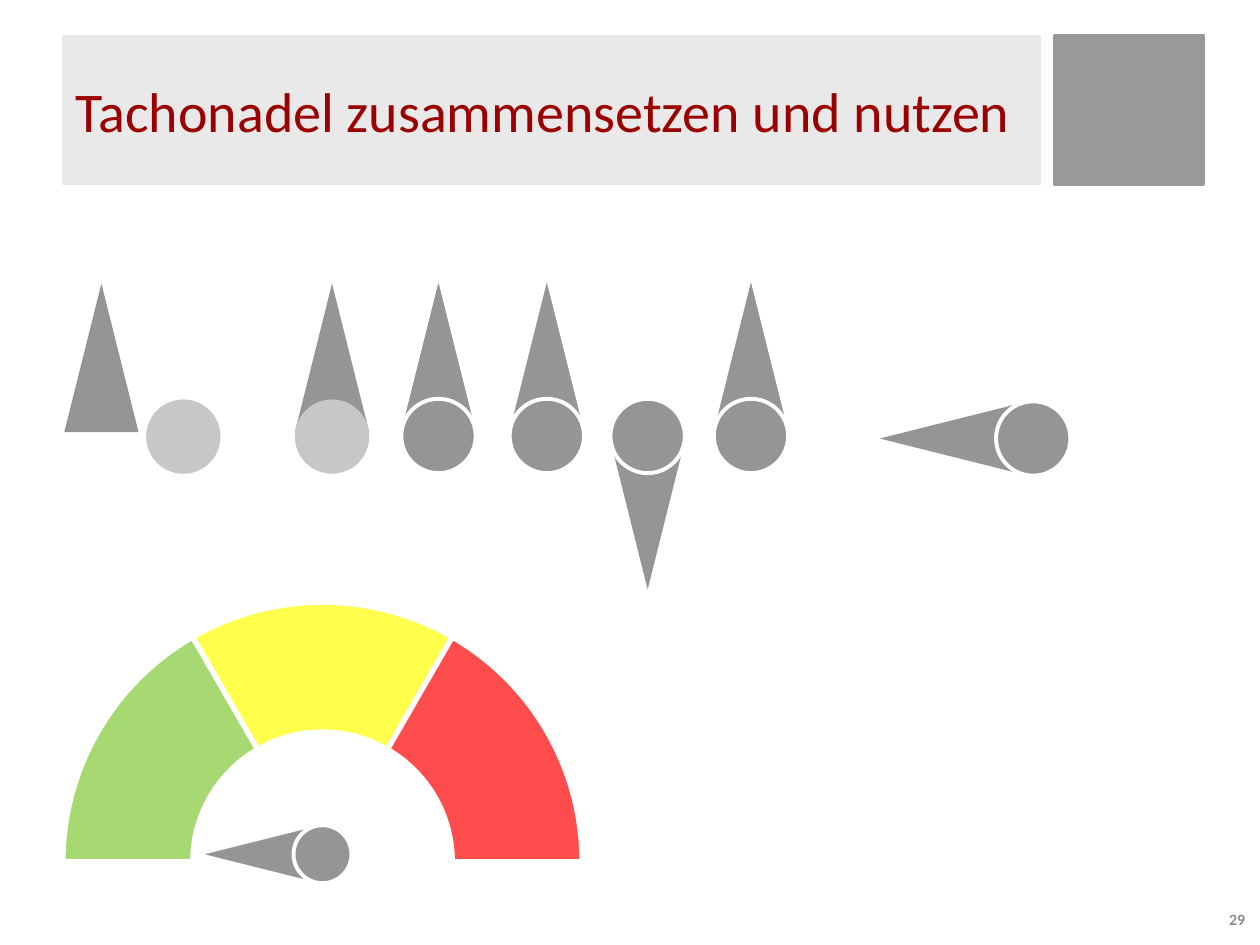
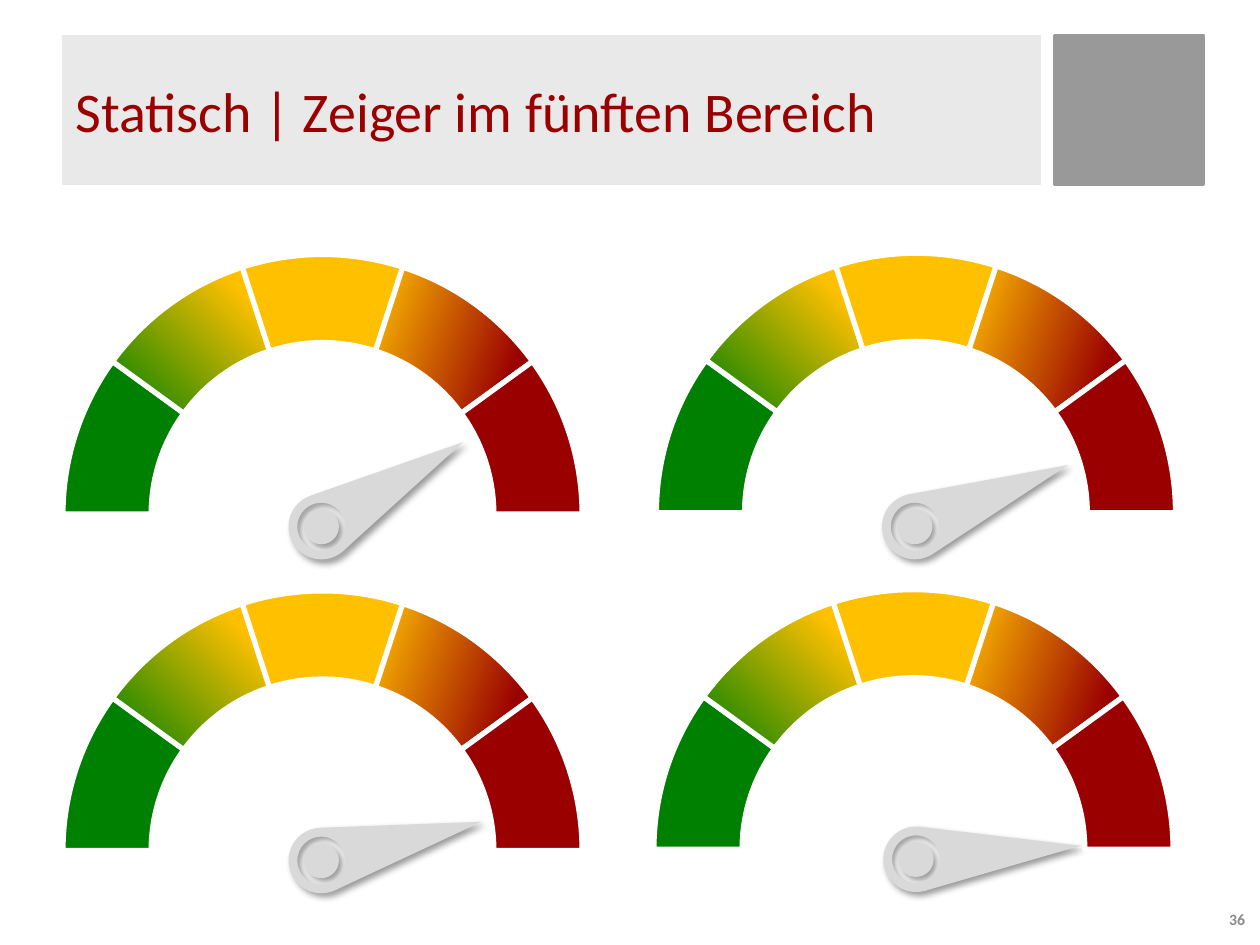
"""Build two slides about speedometer gauges and their needles."""
from itertools import chain
from math import acos, atan, ceil, cos, degrees, hypot, radians, sin, tan

from lxml.etree import SubElement
from pptx import Presentation
from pptx.dml.color import RGBColor
from pptx.enum.shapes import MSO_SHAPE as Shape
from pptx.enum.text import MSO_ANCHOR as Anchor, PP_ALIGN as Align
from pptx.oxml.ns import qn
from pptx.util import Inches, Pt

FONT = "Calibri"
COLORS = {
    "title": "9A0000", "band": "E9E9E9", "corner": "999999", "number": "8C8C8C",
    "white": "FFFFFF", "needle": "959595", "loose hub": "C7C7C7", "pointer": "D9D9D9",
    "light green": "92D050", "yellow": "FFFF00", "red": "FF0000",
    "green": "008000", "amber": "FFC000", "dark red": "9A0000", "shadow": "000000",
}

ASSEMBLY = {"title": "Tachonadel zusammensetzen und nutzen", "number": "29"}
POINTING = {"title": "Statisch | Zeiger im fünften Bereich", "number": "36"}

HUB_SIZE = 0.59
LOOSE_PARTS = [
    (Shape.ISOSCELES_TRIANGLE, 0.51, 2.25, 2, "needle"),
    (Shape.OVAL, 1.16, 3.17, 1, "loose hub"),
    (Shape.ISOSCELES_TRIANGLE, 2.34, 2.25, 2, "needle"),
    (Shape.OVAL, 2.34, 3.17, 1, "loose hub"),
]
SINGLE_NEEDLE = (3.48, 3.46, HUB_SIZE, 0)
GROUPED_NEEDLES = [
    (4.34, 3.46, HUB_SIZE, 0),
    (5.14, 3.46, HUB_SIZE, 180),
    (5.96, 3.46, HUB_SIZE, 0),
    (8.2, 3.48, HUB_SIZE, 270),
]
GAUGE_NEEDLE = (2.56, 6.78, 0.46, 270)

TRAFFIC_GAUGE = {"center": (2.56, 6.84), "outer": 2.06, "inner": 1.03}
TRAFFIC_SECTORS = [("light green", 80), ("yellow", 70), ("red", 70)]

FIVE_PART_RADII = {"outer": 2.06, "inner": 1.36}
FIVE_SECTORS = [
    ("green", 100),
    ("green", "amber", 0.83, 45),
    ("amber", 100),
    ("amber", "dark red", 0.84, 340),
    ("dark red", 100),
]
FIVE_PART_GAUGES = [
    {"center": (2.56, 4.08), "hub": (2.55, 4.18), "angle": 30.8},
    {"center": (7.27, 4.07), "hub": (7.26, 4.18), "angle": 21.9},
    {"center": (2.56, 6.75), "hub": (2.55, 6.83), "angle": 13.6},
    {"center": (7.25, 6.74), "hub": (7.27, 6.82), "angle": 4.7},
]
POINTER_LENGTH, POINTER_RADIUS, RING_RADII = 1.31, 0.26, (0.14, 0.19)


def rgb(name):
    return RGBColor.from_string(COLORS[name])


def paint(part, color, line=None, width=0):
    part.shadow.inherit = False
    part.fill.solid()
    part.fill.fore_color.rgb = rgb(color)
    if line:
        part.line.color.rgb = rgb(line)
        part.line.width = Pt(width)
    else:
        part.line.fill.background()


def write(frame, text, size, color, align, bold=False):
    frame.word_wrap = True
    frame.vertical_anchor = Anchor.MIDDLE
    paragraph = frame.paragraphs[0]
    paragraph.alignment = align
    run = paragraph.add_run()
    run.text = text
    run.font.name, run.font.size, run.font.bold = FONT, Pt(size), bold
    run.font.color.rgb = rgb(color)


def place(shapes, preset, left, top, width, height):
    return shapes.add_shape(preset, *map(Inches, (left, top, width, height)))


def add_slide(deck, content):
    slide = deck.slides.add_slide(deck.slide_layouts[5])
    corner = place(slide.shapes, Shape.RECTANGLE, 8.37, 0.28, 1.18, 1.18)
    paint(corner, "corner", "corner", 2)
    title = slide.shapes.title
    title.left, title.top, title.width, title.height = map(Inches, (0.5, 0.28, 7.76, 1.18))
    title.fill.solid()
    title.fill.fore_color.rgb = rgb("band")
    title.line.color.rgb = rgb("band")
    title.line.width = Pt(0.75)
    write(title.text_frame, content["title"], 32, "title", Align.LEFT)
    number = slide.shapes.add_textbox(*map(Inches, (9.18, 7.14, 0.8, 0.31)))
    write(number.text_frame, content["number"], 9, "number", Align.RIGHT, True)
    return slide


def add_needle(shapes, x, y, size, turn):
    reach = 1.18 * size
    blade_x = x + reach * sin(radians(turn))
    blade_y = y - reach * cos(radians(turn))
    blade = place(shapes, Shape.ISOSCELES_TRIANGLE,
                  blade_x - size / 2, blade_y - size, size, 2 * size)
    blade.rotation = turn
    hub = place(shapes, Shape.OVAL, x - size / 2, y - size / 2, size, size)
    for part in (blade, hub):
        paint(part, "needle", "white", 2.25)


def polar(center, radius, angle):
    x, y = center
    return (Inches(x + radius * cos(radians(angle))),
            Inches(y - radius * sin(radians(angle))))


def arc(center, radius, start, end):
    """Return a start point, then one cubic curve per quarter turn at most."""
    pieces = ceil(abs(end - start) / 90)
    step = (end - start) / pieces
    handle = 4 / 3 * tan(radians(step) / 4)
    reach, lean = radius * hypot(1, handle), degrees(atan(handle))
    segments = [(polar(center, radius, start),)]
    for piece in range(pieces):
        first = start + piece * step
        last = first + step
        segments.append((polar(center, reach, first + lean),
                         polar(center, reach, last - lean),
                         polar(center, radius, last)))
    return segments


def add_outline(shapes, *contours):
    """Draw closed contours of lines (one point) and curves (three points)."""
    builder = shapes.build_freeform(*contours[0][0][0])
    for index, contour in enumerate(contours):
        if index:
            builder.move_to(*contour[0][0])
        builder.add_line_segments(list(chain(*contour[1:])), close=True)
    part = builder.convert_to_shape()
    outline = next(part.element.iter(qn("a:path")))
    lines = iter(outline.findall(qn("a:lnTo")))
    for segment in chain(*(contour[1:] for contour in contours)):
        taken = [next(lines) for _ in segment]
        if len(taken) == 3:
            curve = SubElement(outline, qn("a:cubicBezTo"))
            taken[0].addprevious(curve)
            for line in taken:
                curve.append(line[0])
                outline.remove(line)
    return part


def add_gauge(shapes, center, outer, inner, sectors):
    sweep = 180 / len(sectors)
    for index, (color, *style) in enumerate(sectors):
        start = 180 - index * sweep
        end = start - sweep
        sector = add_outline(
            shapes, arc(center, outer, start, end) + arc(center, inner, end, start))
        paint(sector, color, "white", 3)
        if len(style) == 1:
            tint = next(sector.element.spPr.find(qn("a:solidFill")).iter(qn("a:srgbClr")))
            if style[0] < 100:
                SubElement(tint, qn("a:alpha"), val=str(style[0] * 1000))
        else:
            end_color, position, direction = style
            sector.fill.gradient()
            sector.fill.gradient_angle = direction
            first, last = sector.fill.gradient_stops
            first.color.rgb, first.position = rgb(color), 0
            last.color.rgb, last.position = rgb(end_color), position


def add_pointer(shapes, hub, angle):
    tangent = degrees(acos(POINTER_RADIUS / POINTER_LENGTH))
    tip = (polar(hub, POINTER_LENGTH, angle),)
    body = [tip] + arc(hub, POINTER_RADIUS, angle + tangent, angle + 360 - tangent)
    rings = [arc(hub, radius, 0, 360) for radius in RING_RADII]
    pointer = add_outline(shapes, *rings, body)
    paint(pointer, "pointer")
    effects = pointer.element.spPr.find(qn("a:effectLst"))
    shadow = SubElement(effects, qn("a:outerShdw"), blurRad=str(Pt(4)), dist=str(Pt(3)),
                        dir=str(45 * 60000), algn="tl", rotWithShape="0")
    shade = SubElement(shadow, qn("a:srgbClr"), val=COLORS["shadow"])
    SubElement(shade, qn("a:alpha"), val="40000")


def build_assembly(deck):
    slide = add_slide(deck, ASSEMBLY)
    add_needle(slide.shapes, *SINGLE_NEEDLE)
    for preset, left, top, ratio, color in LOOSE_PARTS:
        paint(place(slide.shapes, preset, left, top, HUB_SIZE, ratio * HUB_SIZE), color)
    for needle in GROUPED_NEEDLES:
        add_needle(slide.shapes.add_group_shape().shapes, *needle)
    add_gauge(slide.shapes, **TRAFFIC_GAUGE, sectors=TRAFFIC_SECTORS)
    add_needle(slide.shapes.add_group_shape().shapes, *GAUGE_NEEDLE)


def build_pointing(deck):
    slide = add_slide(deck, POINTING)
    for gauge in FIVE_PART_GAUGES:
        add_pointer(slide.shapes, gauge["hub"], gauge["angle"])
    for gauge in FIVE_PART_GAUGES:
        add_gauge(slide.shapes.add_group_shape().shapes, gauge["center"],
                  **FIVE_PART_RADII, sectors=FIVE_SECTORS)


def main():
    deck = Presentation()
    deck.slide_width, deck.slide_height = Inches(10), Inches(7.5)
    build_assembly(deck)
    build_pointing(deck)
    deck.save("out.pptx")


if __name__ == "__main__":
    main()
